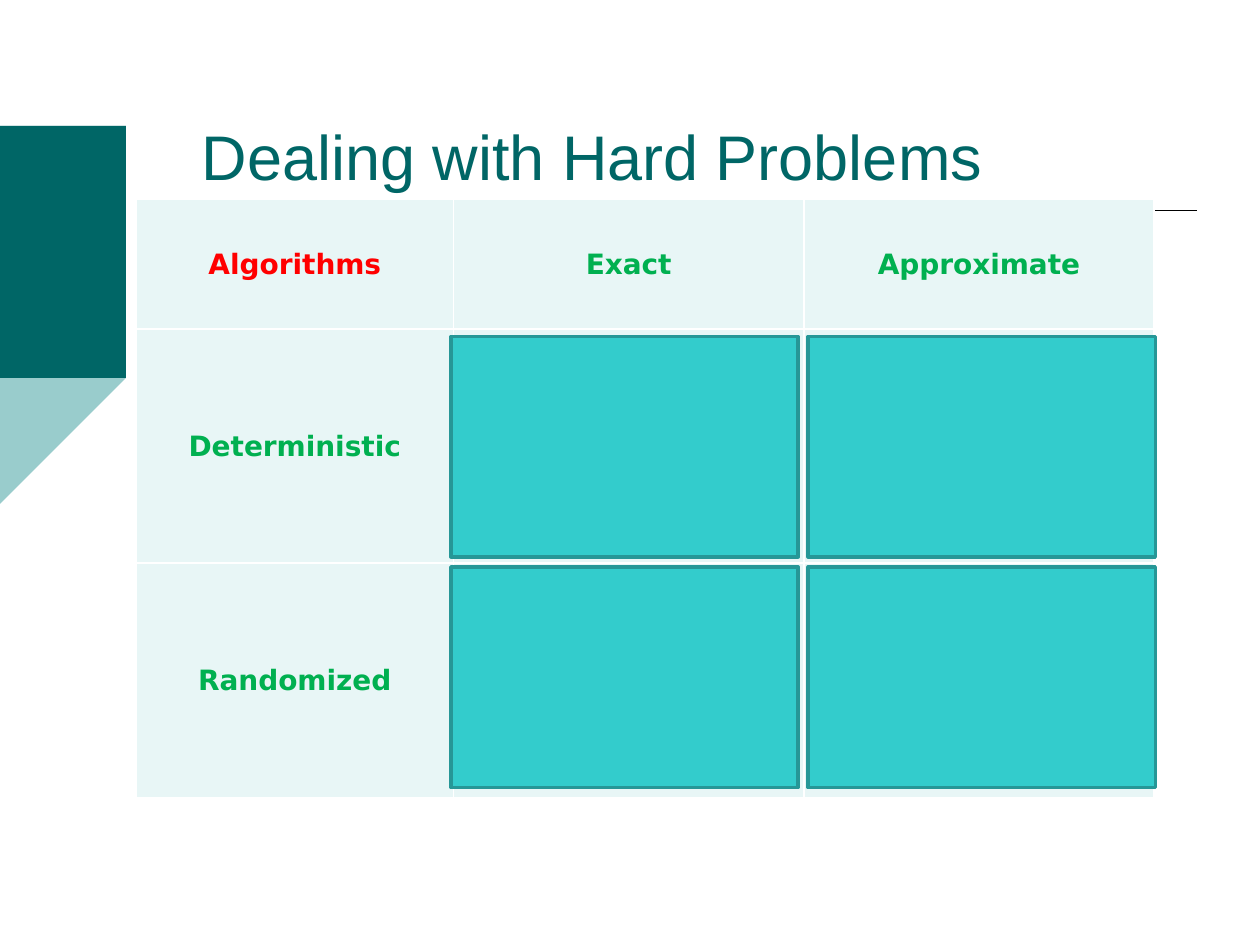
from itertools import product

from lxml.etree import SubElement
from pptx import Presentation
from pptx.dml.color import RGBColor
from pptx.enum.shapes import MSO_CONNECTOR as Connector, MSO_SHAPE as Shape
from pptx.enum.text import MSO_ANCHOR as Anchor, PP_ALIGN as Align
from pptx.oxml import parse_xml
from pptx.oxml.ns import qn
from pptx.util import Inches, Pt

TEAL = "006666"
GREEN = "00B050"
CURVE_STEPS = 24
HEADINGS = [
    ["Algorithms", "Exact", "Approximate"],
    ["Deterministic", "", ""],
    ["Randomized", "", ""],
]
COLUMN_WIDTHS = [2.52, 2.78, 2.78]
ROW_HEIGHTS = [1.03, 1.86, 1.86]
BORDER = (
    '<a:{side} xmlns:a="http://schemas.openxmlformats.org/drawingml/2006/main" w="12700">'
    '<a:solidFill><a:srgbClr val="FFFFFF"/></a:solidFill></a:{side}>'
)


def color(value):
    """Turn a hex string into a colour."""
    return RGBColor.from_string(value)


def set_values(target, values):
    """Set every attribute named in a dict of format values."""
    for name, value in values.items():
        setattr(target, name, value)


def paint(shape, fill, line=None, width=2):
    """Give a shape a plain fill, an optional outline and no shadow."""
    shape.shadow.inherit = False
    shape.fill.solid()
    shape.fill.fore_color.rgb = color(fill)
    if line:
        shape.line.color.rgb = color(line)
        shape.line.width = Pt(width)
    else:
        shape.line.fill.background()


def format_text(frame, text, align, size, font, text_color, bold):
    """Write one formatted paragraph into a text frame."""
    para = frame.paragraphs[0]
    para.alignment = align
    span = para.add_run()
    span.text = text
    set_values(span.font, {"size": Pt(size), "name": font, "bold": bold})
    span.font.color.rgb = color(text_color)


def curve_points(start, control_a, control_b, end):
    """Sample a cubic curve, leaving out its start."""
    points = []
    for step in range(1, CURVE_STEPS + 1):
        t = step / CURVE_STEPS
        weights = ((1 - t) ** 3, 3 * t * (1 - t) ** 2, 3 * t * t * (1 - t), t**3)
        corners = zip(start, control_a, control_b, end)
        points.append(tuple(sum(w * v for w, v in zip(weights, axis)) for axis in corners))
    return points


def add_edge_disc(page, box, shoulder, reach, fill):
    """Draw the visible part of a disc that leans on the left edge."""
    left, top, width, height = box
    right, middle, bottom = left + width, top + height / 2, top + height
    start, tip, end = (left, top), (right, middle), (left, bottom)
    upper = curve_points(start, (left + shoulder, top + height * 0.114), (right, middle - reach), tip)
    lower = curve_points(tip, (right, middle + reach), (left + shoulder, bottom - height * 0.114), end)
    builder = page.shapes.build_freeform(*start, scale=Inches(1))
    builder.add_line_segments(upper + lower, close=True)
    paint(builder.convert_to_shape(), fill)


def add_rule(page, box):
    """Draw the thin rule below the title."""
    left, top, width = map(Inches, box)
    rule = page.shapes.add_connector(Connector.STRAIGHT, left, top, left + width, top)
    rule.line.color.rgb = color("000000")
    rule.line.width = Pt(1)
    SubElement(rule._element.spPr, qn("a:effectLst"))


def add_title(page, box):
    """Place and format the title placeholder."""
    title = page.shapes.title
    set_values(title, dict(zip(("left", "top", "width", "height"), map(Inches, box))))
    set_values(title.text_frame, {"vertical_anchor": Anchor.BOTTOM, "word_wrap": True})
    format_text(title.text_frame, "Dealing with Hard Problems", Align.LEFT, 36, "Arial", TEAL, False)


def format_cell(cell, text, text_color):
    """Border, fill and label one table cell."""
    properties = cell._tc.get_or_add_tcPr()
    for side in ("lnL", "lnR", "lnT", "lnB"):
        properties.append(parse_xml(BORDER.format(side=side)))
    cell.fill.solid()
    cell.fill.fore_color.rgb = color("E8F6F6")
    if text:
        margins = {f"margin_{side}": Inches(0.01) for side in ("left", "right", "top")}
        set_values(cell, {**margins, "margin_bottom": 0, "vertical_anchor": Anchor.MIDDLE})
        format_text(cell.text_frame, text, Align.CENTER, 16, "DejaVu Sans", text_color, True)


def add_algorithm_table(page, box):
    """Build the table of algorithm kinds."""
    table = page.shapes.add_table(len(ROW_HEIGHTS), len(COLUMN_WIDTHS), *map(Inches, box)).table
    set_values(table, {"first_row": False, "horz_banding": False})
    for column, width in zip(table.columns, COLUMN_WIDTHS):
        column.width = Inches(width)
    for row, height in zip(table.rows, ROW_HEIGHTS):
        row.height = Inches(height)
    for r, c in product(range(len(ROW_HEIGHTS)), range(len(COLUMN_WIDTHS))):
        format_cell(table.cell(r, c), HEADINGS[r][c], GREEN if r or c else "FF0000")


def add_covers(page, box, gap):
    """Cover the answer cells with a two by two grid of panels."""
    left, top, width, height = box
    panel_width, panel_height = (width - gap) / 2, (height - gap) / 2
    for row, column in product(range(2), repeat=2):
        x = left + column * (panel_width + gap)
        y = top + row * (panel_height + gap)
        panel = page.shapes.add_shape(
            Shape.RECTANGLE, *map(Inches, (x, y, panel_width, panel_height))
        )
        paint(panel, "33CCCC", "269797")


def main():
    """Build and save the deck."""
    deck = Presentation()
    set_values(deck, {"slide_width": Inches(10), "slide_height": Inches(7.5)})
    page = deck.slides.add_slide(deck.slide_layouts[5])
    add_edge_disc(page, (0, 1.06, 0.96, 2.8), 0.6, 0.56, "99CCCC")
    add_edge_disc(page, (0, 0.3, 0.73, 2.85), 0.46, 0.56, TEAL)
    add_rule(page, (1.5, 1.67, 8))
    add_title(page, (1.5, 0.33, 8, 1.25))
    add_algorithm_table(page, (1.08, 1.58, 8.08, 4.75))
    add_covers(page, (3.58, 2.67, 5.59, 3.58), 0.08)
    deck.save("out.pptx")


if __name__ == "__main__":
    main()
